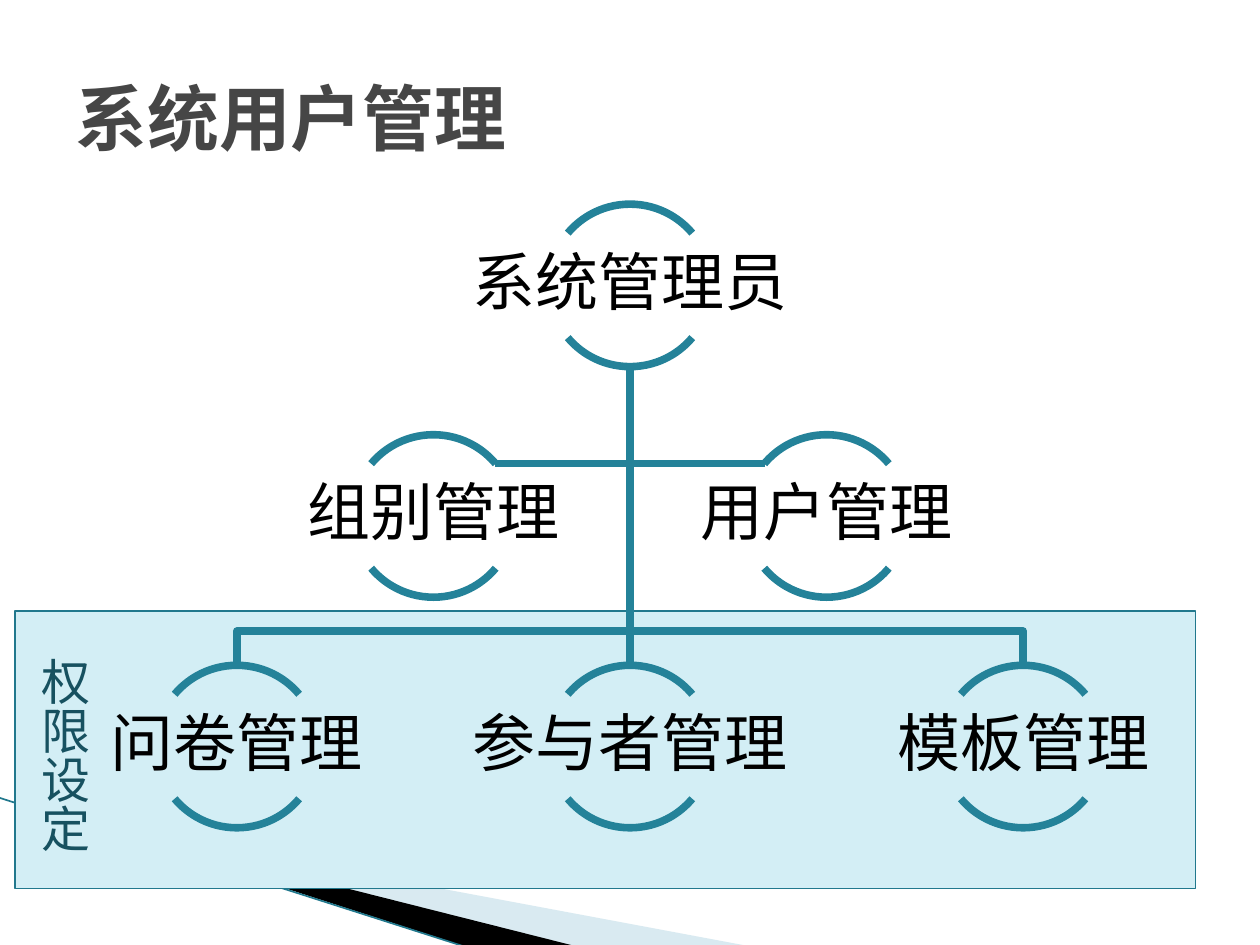
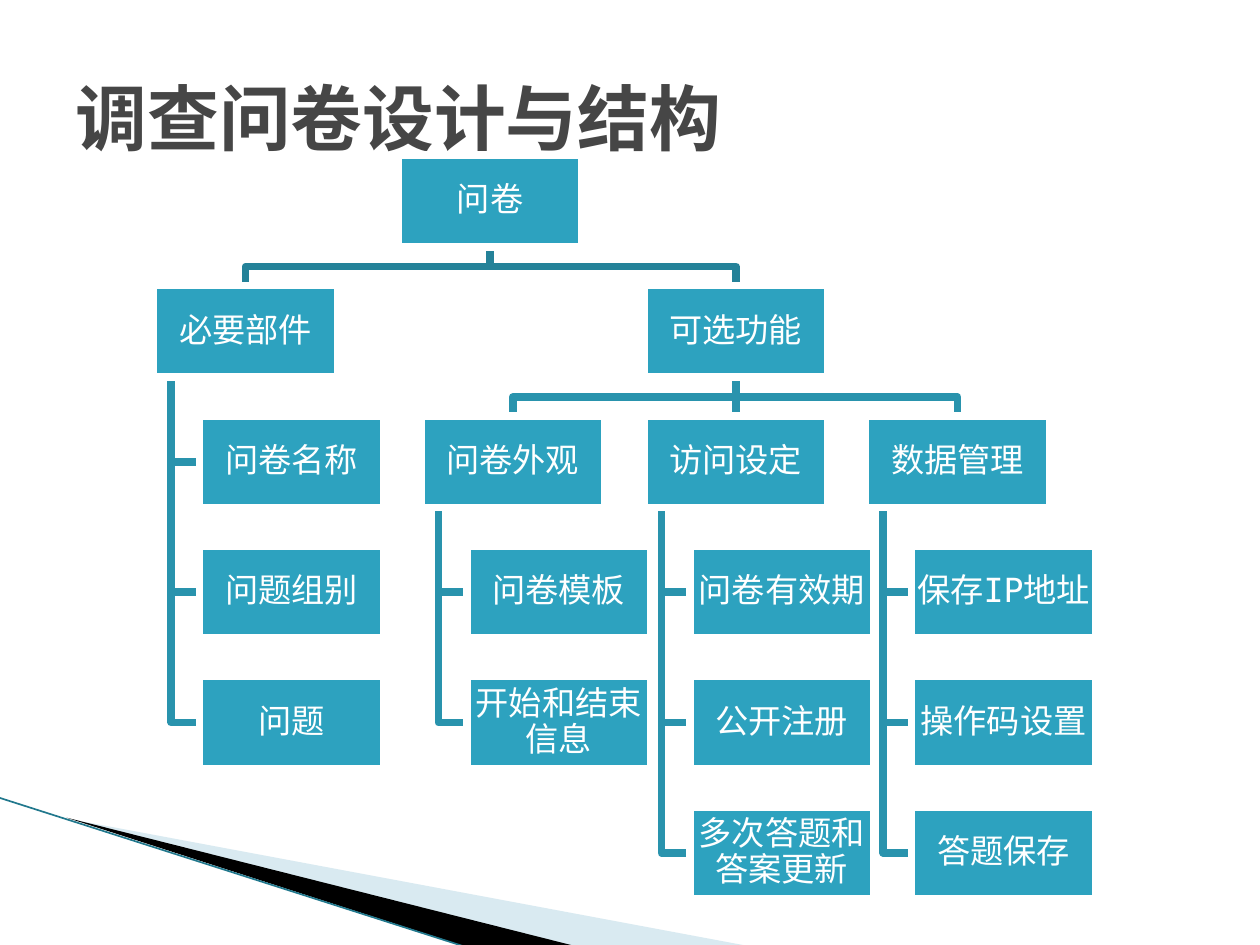
import pptx
import pptx.util
import pptx.dml.color
import pptx.enum.shapes
import pptx.enum.text
import pptx.oxml.ns
import lxml.etree

Inches = pptx.util.Inches
Pt = pptx.util.Pt
RGBColor = pptx.dml.color.RGBColor
Shape = pptx.enum.shapes.MSO_SHAPE
Text = pptx.enum.text
qn = pptx.oxml.ns.qn

# Shared style
FONT = "DejaVu Sans Mono"
WHITE = RGBColor(0xFF, 0xFF, 0xFF)
BLACK = RGBColor(0, 0, 0)
GREY = RGBColor(0x46, 0x46, 0x46)
PALE = RGBColor(0xA0, 0xCB, 0xDC)
EDGE = RGBColor(0x21, 0x78, 0x8D)
PANEL = RGBColor(0xD3, 0xEE, 0xF5)
LABEL = RGBColor(0x17, 0x51, 0x60)
DEEP = RGBColor(0x24, 0x82, 0x99)
TEAL = RGBColor(0x29, 0x93, 0xAD)
BOX = RGBColor(0x2D, 0xA2, 0xBF)
THICK = 4.33


def style(shape, fill=None, line=None, width=THICK):
    shape.shadow.inherit = False
    if fill is None:
        shape.fill.background()
    else:
        shape.fill.solid()
        shape.fill.fore_color.rgb = fill
    if line is None:
        shape.line.fill.background()
    else:
        shape.line.color.rgb = line
        shape.line.width = Pt(width)


def write(shape, text, size, color, inset=None, bold=False, align=None):
    frame = shape.text_frame
    frame.word_wrap = True
    frame.vertical_anchor = Text.MSO_ANCHOR.MIDDLE
    if inset is not None:
        frame.margin_left = frame.margin_right = Inches(inset)
        frame.margin_top = frame.margin_bottom = Inches(inset)
    para = frame.paragraphs[0]
    para.text = text
    para.alignment = align
    if align == Text.PP_ALIGN.CENTER:
        para.line_spacing = 0.9
    font = para.font
    font.size, font.bold, font.name = Pt(size), bold, FONT
    font.color.rgb = color
    props = para._p.pPr.find(qn("a:defRPr"))
    lxml.etree.SubElement(props, qn("a:ea")).set("typeface", FONT)
    return frame


def shape_at(slide, kind, left, top, width, height):
    return slide.shapes.add_shape(
        kind, Inches(left), Inches(top), Inches(width), Inches(height))


def outline(slide, points, closed=False):
    spots = [(Inches(x), Inches(y)) for x, y in points]
    pen = slide.shapes.build_freeform(*spots[0])
    pen.add_line_segments(spots[1:], close=closed)
    return pen.convert_to_shape()


def straight(slide, start, end, color, width=THICK):
    line = slide.shapes.add_connector(
        pptx.enum.shapes.MSO_CONNECTOR.STRAIGHT,
        *[Inches(n) for n in (*start, *end)])
    line.line.color.rgb = color
    line.line.width = Pt(width)
    lxml.etree.SubElement(line._element.spPr, qn("a:effectLst"))


def link(slide, points, color):
    style(outline(slide, points), line=color)


def drop(slide, start, end, color, bend):
    """Go down from start, across at bend, and down to end."""
    if start[0] == end[0]:
        straight(slide, start, end, color)
    else:
        link(slide, [start, (start[0], bend), (end[0], bend), end], color)


# Corner sweep and title
def sweep(slide):
    pale = outline(slide, [(0.55, 6.5), (5.95, 7.51), (4.56, 7.51)], True)
    style(pale, PALE)
    tint = pale._element.spPr.find(qn("a:solidFill"))[0]
    lxml.etree.SubElement(tint, qn("a:alpha")).set("val", "40000")
    style(outline(slide, [(0.53, 6.49), (4.57, 7.51), (3.72, 7.52)], True), BLACK)
    straight(slide, (-0.01, 6.33), (3.71, 7.52), EDGE, 0.95)


def new_slide(deck, name):
    slide = deck.slides.add_slide(deck.slide_layouts[5])
    sweep(slide)
    title = slide.shapes.title
    title.left, title.top = Inches(0.5), Inches(0.3)
    title.width, title.height = Inches(9), Inches(1.25)
    frame = write(title, name, 41, GREY, bold=True, align=Text.PP_ALIGN.LEFT)
    frame.auto_size = Text.MSO_AUTO_SIZE.NONE
    return slide


# Rights panel and its vertical label
def panel(slide, left, top):
    style(shape_at(slide, Shape.RECTANGLE, left, top, 9.37, 2.2), PANEL, EDGE, 0.75)


def label(slide, left, top):
    box = slide.shapes.add_textbox(
        Inches(left), Inches(top), Inches(0.67), Inches(1.67))
    frame = write(box, "权限设定", 28, LABEL)
    frame.vertical_anchor = Text.MSO_ANCHOR.TOP
    frame.word_wrap = False
    frame.auto_size = Text.MSO_AUTO_SIZE.SHAPE_TO_FIT_TEXT
    frame._txBody.bodyPr.set("vert", "eaVert")


# Chart of roles: names between pairs of arcs
RING = 1.29


def role(slide, name, mid, top):
    for start, end in ((132, 192), (24, 84)):
        arc = shape_at(slide, Shape.ARC, mid - RING / 2, top, RING, RING)
        arc.adjustments[0], arc.adjustments[1] = start, end
        style(arc, line=DEEP)
    box = slide.shapes.add_textbox(
        Inches(mid - 1.29), Inches(top + 0.23), Inches(2.58), Inches(0.82))
    write(box, name, 36, BLACK, 0.03, align=Text.PP_ALIGN.CENTER)


def roles(slide, mid, top):
    gap, rise = 3.12, 1.83
    start = (mid, top + RING)
    aides = {"组别管理": -1, "用户管理": 1}
    leaves = {"问卷管理": -1, "参与者管理": 0, "模板管理": 1}
    for side in aides.values():
        level = top + rise + 0.23
        end = mid + side * (gap / 2 - 0.49)
        link(slide, [start, (mid, level), (end, level)], DEEP)
    base = top + 2 * rise
    for side in leaves.values():
        drop(slide, start, (mid + side * gap, base), DEEP, base - 0.27)
    role(slide, "系统管理员", mid, top)
    for name, side in aides.items():
        role(slide, name, mid + side * gap / 2, top + rise)
    for name, side in leaves.items():
        role(slide, name, mid + side * gap, base)


# Tree of parts: heads (name, x, row, parent, items) with hanging items
WIDE, HIGH, STEP, INDENT = 1.46, 0.73, 1.035, 0.365
HEADS = [
    ("问卷", 1.94, 0, None, []),
    ("必要部件", 0, 1, "问卷", ["问卷名称", "问题组别", "问题"]),
    ("可选功能", 3.89, 1, "问卷", []),
    ("问卷外观", 2.12, 2, "可选功能", ["问卷模板", "开始和结束信息"]),
    ("访问设定", 3.89, 2, "可选功能", ["问卷有效期", "公开注册", "多次答题和答案更新"]),
    ("数据管理", 5.65, 2, "可选功能", ["保存IP地址", "操作码设置", "答题保存"]),
]


def part(slide, name, left, top):
    box = shape_at(slide, Shape.RECTANGLE, left, top, WIDE, HIGH)
    style(box, BOX, WHITE)
    write(box, name, 19, WHITE, 0.01, align=Text.PP_ALIGN.CENTER)


def tree(slide, left, top):
    spots = {name: (left + x, top + row * STEP) for name, x, row, *_ in HEADS}
    boxes = list(spots.items())
    for name, _, row, above, items in HEADS:
        x, y = spots[name]
        if above:
            px, py = spots[above]
            drop(slide, (px + WIDE / 2, py + HIGH), (x + WIDE / 2, y),
                 DEEP if row == 1 else TEAL, y - 0.15)
        stem = x + 0.14
        for n, item in enumerate(items, 1):
            place = (x + INDENT, y + n * STEP)
            level = place[1] + HIGH / 2
            link(slide, [(stem, y + HIGH), (stem, level), (place[0], level)], TEAL)
            boxes.append((item, place))
    for name, place in boxes:
        part(slide, name, *place)


def main():
    deck = pptx.Presentation()
    deck.slide_width, deck.slide_height = Inches(10), Inches(7.5)

    users = new_slide(deck, "系统用户管理")
    panel(users, 0.12, 4.85)
    roles(users, 5, 1.62)
    label(users, 0.12, 5.12)

    survey = new_slide(deck, "调查问卷设计与结构")
    tree(survey, 1.22, 1.23)

    deck.save("out.pptx")


if __name__ == "__main__":
    main()
